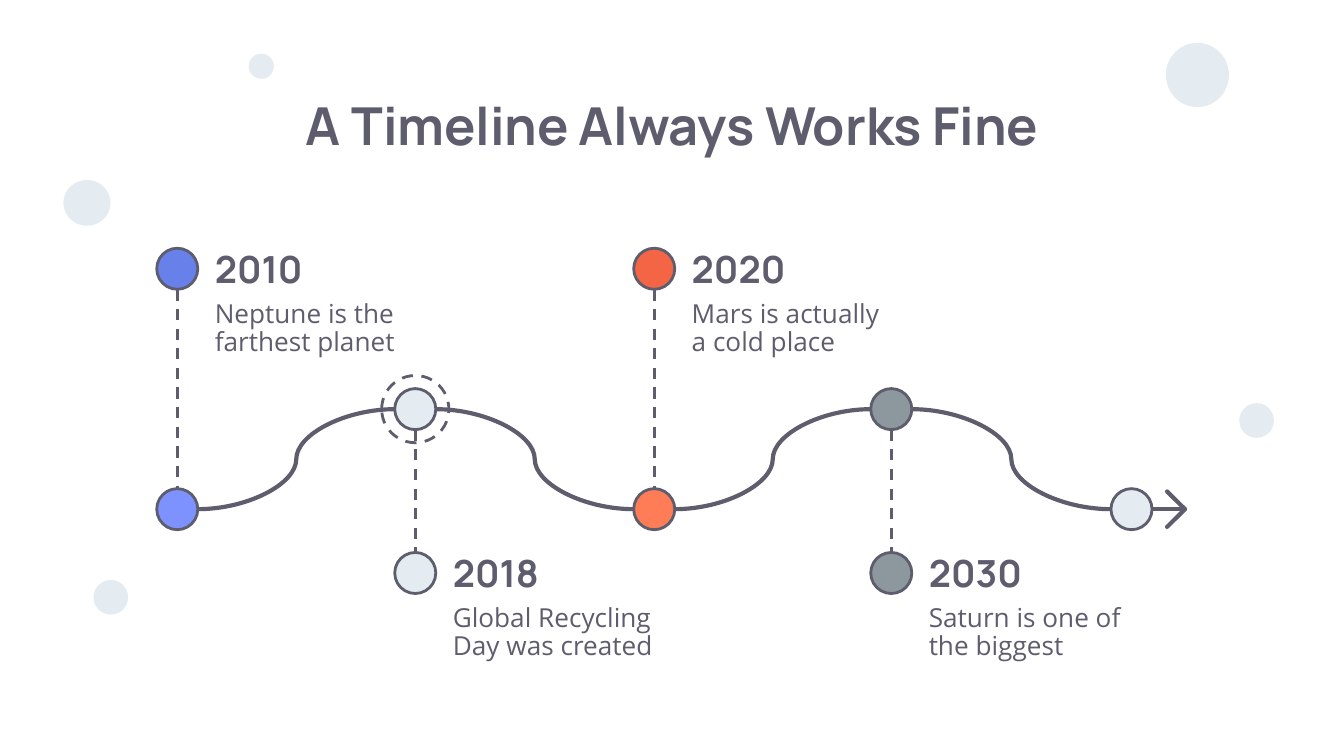
from pptx import Presentation
from pptx.util import Pt
from pptx.dml.color import RGBColor
from pptx.enum.dml import MSO_LINE
from pptx.enum.shapes import MSO_CONNECTOR, MSO_SHAPE
from pptx.enum.text import MSO_ANCHOR, MSO_AUTO_SIZE, PP_ALIGN
from pptx.oxml.ns import qn
from lxml import etree

DASH = MSO_LINE.DASH
LINE, CURVE = MSO_CONNECTOR.STRAIGHT, MSO_CONNECTOR.CURVE
OVAL = MSO_SHAPE.OVAL
TOP, MIDDLE = MSO_ANCHOR.TOP, MSO_ANCHOR.MIDDLE
LEFT, CENTER = PP_ALIGN.LEFT, PP_ALIGN.CENTER

# Content
TITLE = "A Timeline Always Works Fine"
INK, PALE = "5D5D6D", "E4ECF2"
HEAD, BODY = "Manrope", "Open Sans"
# centre x, year, text, colour by the label, colour on the wave
STEPS = [
    (95, "2010", "Neptune is the farthest planet", "6880EA", "7E92FF"),
    (222.5, "2018", "Global Recycling Day was created", PALE, PALE),
    (350.5, "2020", "Mars is actually\va cold place", "F46545", "FE7D56"),
    (477.5, "2030", "Saturn is one of\vthe biggest", "8C979E", "8C979E"),
]
END_X = 606.2
# centre x, centre y, width, height
BUBBLES = [
    (46.6, 108.7, 25.2, 24.5),
    (641.5, 40.2, 33.8, 34.4),
    (59.4, 320, 18.6, 18.6),
    (673.2, 225.3, 18.6, 18.6),
    (140, 35.5, 13.5, 13.5),
]

# Layout: even steps are labelled above a trough, odd ones below a crest
DOT, RING = 22, 36
LABEL_Y = (144, 307)
WAVE_Y = (272.8, 219.2)

prs = Presentation()
prs.slide_width, prs.slide_height = Pt(720), Pt(405)
slide = prs.slides.add_slide(prs.slide_layouts[5])
shapes = slide.shapes


def paint(fmt, color):
    fmt.solid()
    fmt.fore_color.rgb = RGBColor.from_string(color)


def stroke(line, width, dash=None):
    paint(line.fill, INK)
    line.width = Pt(width)
    if dash:
        line.dash_style = dash


def write(box, text, font=BODY, size=14, bold=False, align=LEFT,
          anchor=TOP, gap=1.0):
    frame = box.text_frame
    frame.word_wrap = True
    frame.auto_size = MSO_AUTO_SIZE.NONE
    frame.vertical_anchor = anchor
    frame.margin_left = frame.margin_right = Pt(7.2)
    frame.margin_top = frame.margin_bottom = Pt(7.2)
    frame.text = text
    para = frame.paragraphs[0]
    para.alignment, para.line_spacing = align, gap
    para.space_before = Pt(0)
    for run in para.runs:
        run.font.name, run.font.size, run.font.bold = font, Pt(size), bold
        run.font.color.rgb = RGBColor.from_string(INK)


def label(x, y, w, h, text, **style):
    write(shapes.add_textbox(Pt(x), Pt(y), Pt(w), Pt(h)), text, **style)


def oval(x, y, w, h, fill=None, width=0, dash=None):
    dot = shapes.add_shape(OVAL, Pt(x - w / 2), Pt(y - h / 2), Pt(w), Pt(h))
    dot.shadow.inherit = False
    if fill:
        paint(dot.fill, fill)
    else:
        dot.fill.background()
    if width:
        stroke(dot.line, width, dash)
    else:
        dot.line.fill.background()


def link(kind, x1, y1, x2, y2, width, dash=None):
    wire = shapes.add_connector(kind, Pt(x1), Pt(y1), Pt(x2), Pt(y2))
    stroke(wire.line, width, dash)
    etree.SubElement(wire._element.spPr, qn("a:effectLst"))
    return wire


def round_cap(shape):
    shape.line._get_or_add_ln().set("cap", "rnd")


# Background bubbles
for x, y, w, h in BUBBLES:
    oval(x, y, w, h, PALE)

# Title
title = shapes.title
title.left, title.top, title.width, title.height = (
    Pt(56.2), Pt(42.5), Pt(607.6), Pt(45.4))
write(title, TITLE, font=HEAD, size=28, bold=True, align=CENTER)

# Wave
stops = [step[0] for step in STEPS] + [END_X]
for i, (x1, x2) in enumerate(zip(stops, stops[1:])):
    link(CURVE, x1 + DOT / 2, WAVE_Y[i % 2],
         x2 - DOT / 2, WAVE_Y[(i + 1) % 2], 2.25)

# Arrow at the end of the wave
low, tip = WAVE_Y[0], END_X + 28.6
round_cap(link(LINE, END_X + DOT / 2, low, tip, low, 2.25))
pen = shapes.build_freeform(Pt(tip - 9.6), Pt(low - 9.5))
pen.add_line_segments([(Pt(tip), Pt(low)), (Pt(tip - 9.6), Pt(low + 9.5))],
                      close=False)
barb = pen.convert_to_shape()
barb.shadow.inherit = False
barb.fill.background()
stroke(barb.line, 2.25)
round_cap(barb)

# Milestones
for i, (x, year, text, tint, spot) in enumerate(STEPS):
    y, mid = LABEL_Y[i % 2], WAVE_Y[i % 2]
    high, deep = sorted((y, mid))
    link(LINE, x, high + DOT / 2, x, deep - DOT / 2, 1.5, DASH)
    oval(x, y, DOT, DOT, tint, 1.5)
    oval(x, mid, DOT, DOT, spot, 1.5)
    label(x + 13, y - 15, 128, 30, year,
          font=HEAD, size=20, bold=True, anchor=MIDDLE)
    label(x + 13, y + 10, 128, 45, text, gap=0.9)

# Last dot, and the ring around the second step
oval(END_X, low, DOT, DOT, PALE, 1.5)
oval(STEPS[1][0], WAVE_Y[1], RING, RING, width=1.5, dash=DASH)

prs.save("out.pptx")
